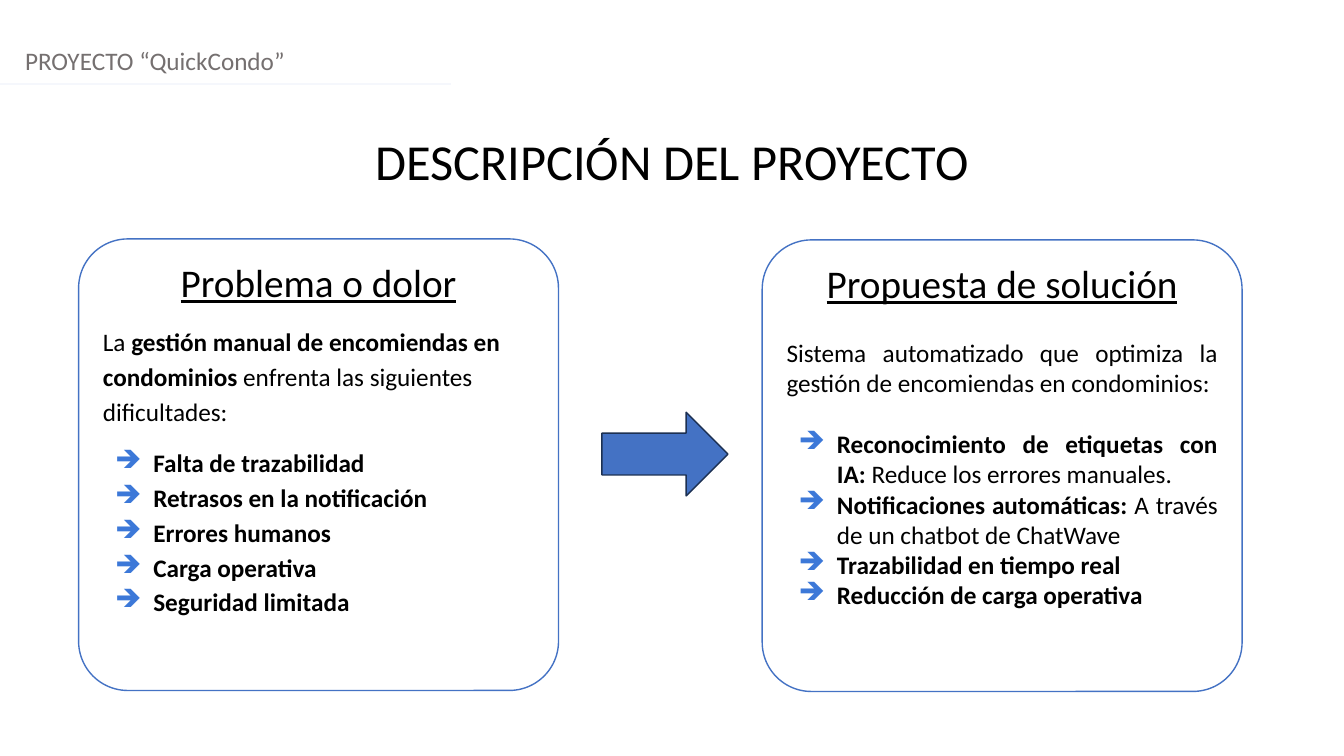
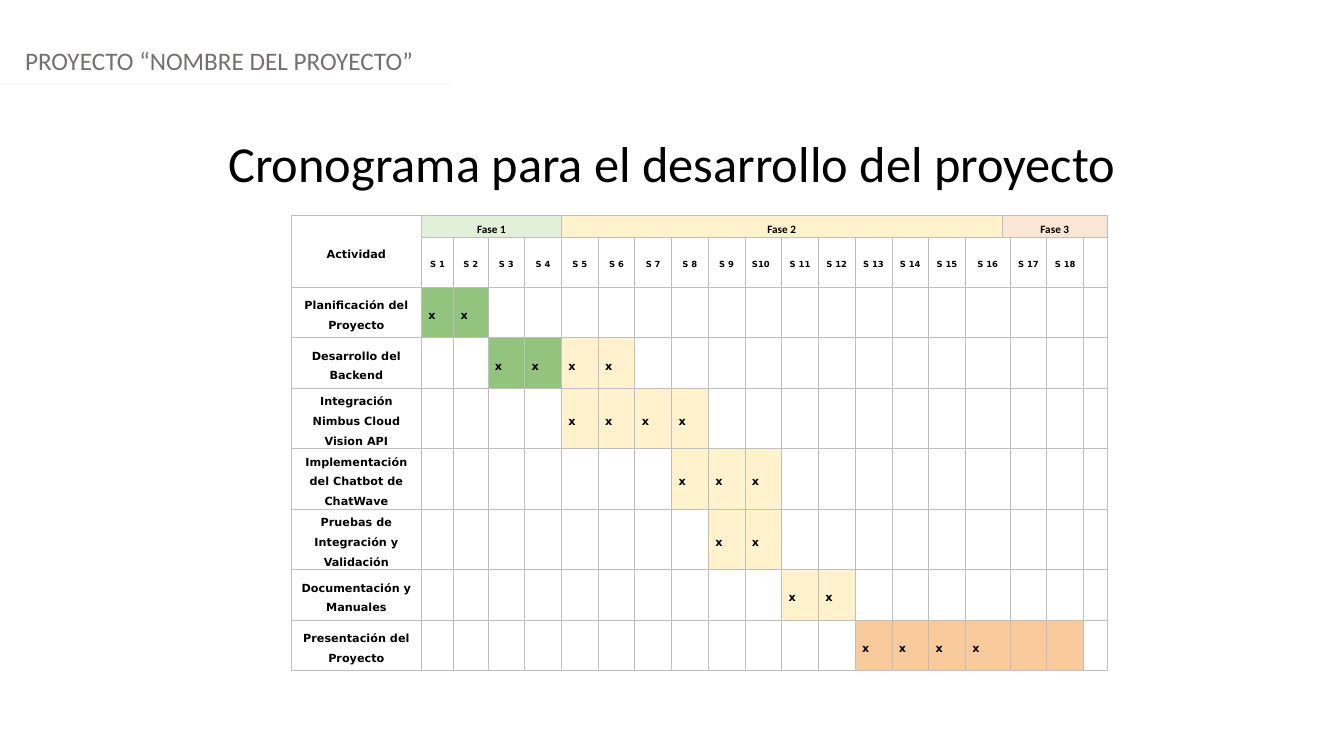
from dataclasses import dataclass

from lxml import etree
from pptx import Presentation
from pptx.dml.color import RGBColor
from pptx.enum.shapes import MSO_CONNECTOR, MSO_SHAPE
from pptx.enum.text import MSO_ANCHOR, MSO_AUTO_SIZE, PP_ALIGN
from pptx.oxml.ns import qn
from pptx.util import Inches, Pt

LEFT, CENTER, JUSTIFY = PP_ALIGN.LEFT, PP_ALIGN.CENTER, PP_ALIGN.JUSTIFY
TOP, MIDDLE = MSO_ANCHOR.TOP, MSO_ANCHOR.MIDDLE
SLIDE_W, SLIDE_H = 13.33, 7.5
TITLE_ONLY = 5


@dataclass(frozen=True)
class Theme:
    font: str = "Calibri"
    table_font: str = "DejaVu Sans"
    title: int = 36
    heading: int = 28
    body: int = 18
    cell: int = 8
    week: int = 6
    ink: str = "000000"
    paper: str = "FFFFFF"
    muted: str = "757070"
    rule: str = "F5F7FC"
    accent: str = "4472C4"
    accent_dark: str = "1C3052"
    bullet: str = "3C78D8"
    grid: str = "BFBFBF"
    green_pale: str = "E2EFD9"
    yellow: str = "FFF2CC"
    orange_pale: str = "FBE5D5"
    green: str = "93C47D"
    orange: str = "F9CB9C"


THEME = Theme()


def rgb(value):
    return RGBColor.from_string(value)


def inches(box):
    return [Inches(length) for length in box]


def style(run, size, color=THEME.ink, bold=False, font=THEME.font, underline=False):
    run.font.name, run.font.size = font, Pt(size)
    run.font.bold, run.font.underline = bold, underline
    run.font.color.rgb = rgb(color)


def add_bullet(paragraph):
    props = paragraph._p.get_or_add_pPr()
    props.set("marL", str(Inches(0.5)))
    props.set("indent", str(-Inches(0.38)))
    color = etree.SubElement(props, qn("a:buClr"))
    etree.SubElement(color, qn("a:srgbClr"), val=THEME.bullet)
    etree.SubElement(props, qn("a:buChar"), char="➔")


def add_outlined(slide, preset, box, fill, line):
    shape = slide.shapes.add_shape(preset, *inches(box))
    shape.shadow.inherit = False
    shape.fill.solid()
    shape.fill.fore_color.rgb = rgb(fill)
    shape.line.color.rgb = rgb(line)
    shape.line.width = Pt(1)
    return shape


def add_base_slide(prs, project, title, title_box):
    """Add a slide with the project header, its rule and a centred title."""
    slide = prs.slides.add_slide(prs.slide_layouts[TITLE_ONLY])
    heading = slide.shapes.title
    heading.left, heading.top, heading.width, heading.height = inches(title_box)
    header = slide.shapes.add_textbox(*inches((0.15, 0.4, SLIDE_W - 0.15, 0.4)))
    for part, text, size, color, align in (
        (heading, title, THEME.title, THEME.ink, CENTER),
        (header, project, THEME.body, THEME.muted, LEFT),
    ):
        frame = part.text_frame
        frame.text = text
        frame.word_wrap = True
        frame.auto_size = MSO_AUTO_SIZE.NONE
        frame.vertical_anchor = TOP
        frame.paragraphs[0].alignment = align
        style(frame.paragraphs[0].runs[0], size, color)

    rule = slide.shapes.add_connector(
        MSO_CONNECTOR.STRAIGHT, *inches((0, 0.83, 4.47, 0.83)))
    rule.line.color.rgb = rgb(THEME.rule)
    rule.line.width = Pt(1.25)
    etree.SubElement(rule._element.spPr, qn("a:effectLst"))
    return slide


def add_panel(slide, box, heading, intro, points, align, spacing, gap):
    """Draw a rounded panel; intro and points are lists of (text, bold) runs."""
    panel = add_outlined(slide, MSO_SHAPE.ROUNDED_RECTANGLE, box,
                         THEME.paper, THEME.accent)
    panel.adjustments[0] = 0.109
    frame = panel.text_frame
    frame.word_wrap = True
    frame.vertical_anchor = TOP
    frame.text = heading
    frame.paragraphs[0].alignment = CENTER
    style(frame.paragraphs[0].runs[0], THEME.heading, underline=True)

    for index, pieces in enumerate([intro, *points]):
        paragraph = frame.add_paragraph()
        if index > 0:
            add_bullet(paragraph)
        paragraph.alignment = align
        paragraph.line_spacing = spacing
        paragraph.space_before = Pt(gap if index < 2 else 0)
        for text, bold in pieces:
            run = paragraph.add_run()
            run.text = text
            style(run, THEME.body, bold=bold)


def build_description(prs):
    slide = add_base_slide(prs, "PROYECTO “QuickCondo”", "DESCRIPCIÓN DEL PROYECTO",
                           (0, 1.24, SLIDE_W, 0.71))
    problems = ("Falta de trazabilidad", "Retrasos en la notificación",
                "Errores humanos", "Carga operativa", "Seguridad limitada")
    add_panel(
        slide, (0.78, 2.37, 4.76, 4.48), "Problema o dolor",
        [("La ", False), ("gestión manual de encomiendas en condominios", True),
         (" enfrenta las siguientes dificultades:", False)],
        [[(problem, True)] for problem in problems],
        align=LEFT, spacing=1.15, gap=12)
    add_panel(
        slide, (7.56, 2.38, 4.76, 4.48), "Propuesta de solución",
        [("Sistema automatizado que optimiza la gestión de encomiendas "
          "en condominios:", False)],
        [[("Reconocimiento de etiquetas con IA:", True),
          (" Reduce los errores manuales.", False)],
         [("Notificaciones automáticas:", True),
          (" A través de un chatbot de ChatWave", False)],
         [("Trazabilidad en tiempo real", True)],
         [("Reducción de carga operativa", True)]],
        align=JUSTIFY, spacing=1.0, gap=22)
    add_outlined(slide, MSO_SHAPE.RIGHT_ARROW, (5.97, 4.09, 1.25, 0.83),
                 THEME.accent, THEME.accent_dark)


# Phase: name, first column, last column, fill
PHASES = (
    ("Fase 1", 1, 4, THEME.green_pale),
    ("Fase 2", 5, 16, THEME.yellow),
    ("Fase 3", 17, 20, THEME.orange_pale),
)
# Activity: name, then spans of (first week, last week, fill)
ACTIVITIES = (
    ("Planificación del Proyecto", [(1, 2, THEME.green)]),
    ("Desarrollo del Backend", [(3, 4, THEME.green), (5, 6, THEME.yellow)]),
    ("Integración Nimbus Cloud Vision API", [(5, 8, THEME.yellow)]),
    ("Implementación del Chatbot de ChatWave", [(8, 10, THEME.yellow)]),
    ("Pruebas de Integración y Validación", [(9, 10, THEME.yellow)]),
    ("Documentación y Manuales", [(11, 12, THEME.yellow)]),
    ("Presentación del Proyecto", [(13, 18, THEME.orange)]),
)
WEEKS = 18
SPLIT_WEEK = 16  # this week covers two columns, as phase 3 starts inside it
LAST_MARKED_WEEK = 16
WEEK_W = 4.01 / 11
COLUMN_WIDTHS = [1.29, 0.32, 0.34, *[WEEK_W] * 14, 0.08, WEEK_W, WEEK_W, 0.24]
ROW_HEIGHTS = [0.21, 0.5, 0.5, 0.5, 0.6, 0.6, 0.6, 0.5, 0.5]


def week_column(week):
    return week if week <= SPLIT_WEEK else week + 1


def format_grid_cell(cell):
    props = cell._tc.get_or_add_tcPr()
    for side in ("a:lnL", "a:lnR", "a:lnT", "a:lnB"):
        border = etree.SubElement(props, qn(side), w=str(Pt(0.5)))
        fill = etree.SubElement(border, qn("a:solidFill"))
        etree.SubElement(fill, qn("a:srgbClr"), val=THEME.grid)
    cell.fill.background()
    cell.margin_left = cell.margin_right = Inches(0.07)
    cell.margin_top = cell.margin_bottom = 0
    cell.vertical_anchor = MIDDLE


def shade(cell, color):
    cell.fill.solid()
    cell.fill.fore_color.rgb = rgb(color)


def write_cell(cell, text, size=THEME.cell, align=CENTER, font=THEME.table_font):
    cell.text = text
    paragraph = cell.text_frame.paragraphs[0]
    paragraph.alignment = align
    paragraph.line_spacing = 1.5
    style(paragraph.runs[0], size, bold=True, font=font)


def add_schedule(slide, left, top):
    frame = slide.shapes.add_table(
        len(ROW_HEIGHTS), len(COLUMN_WIDTHS),
        *inches((left, top, sum(COLUMN_WIDTHS), sum(ROW_HEIGHTS))))
    table = frame.table
    table.first_row = table.horz_banding = False
    for column, width in zip(table.columns, COLUMN_WIDTHS):
        column.width = Inches(width)
    for row, height in zip(table.rows, ROW_HEIGHTS):
        row.height = Inches(height)
    for cell in table.iter_cells():
        format_grid_cell(cell)

    table.cell(0, 0).merge(table.cell(1, 0))
    write_cell(table.cell(0, 0), "Actividad")
    for name, first, last, color in PHASES:
        phase = table.cell(0, first)
        phase.merge(table.cell(0, last))
        phase.vertical_anchor = TOP
        shade(phase, color)
        write_cell(phase, name, font=THEME.font)
    for row in range(1, len(ROW_HEIGHTS)):
        table.cell(row, SPLIT_WEEK).merge(table.cell(row, SPLIT_WEEK + 1))
    for week in range(1, WEEKS + 1):
        label = "S10" if week == 10 else f"S {week}"
        write_cell(table.cell(1, week_column(week)), label, THEME.week,
                   LEFT if week == 10 else CENTER)

    for row, (activity, spans) in enumerate(ACTIVITIES, start=2):
        write_cell(table.cell(row, 0), activity)
        for first, last, color in spans:
            for week in range(first, last + 1):
                cell = table.cell(row, week_column(week))
                shade(cell, color)
                if week <= LAST_MARKED_WEEK:
                    write_cell(cell, "x", align=JUSTIFY)


def build_schedule(prs):
    slide = add_base_slide(prs, "PROYECTO “NOMBRE DEL PROYECTO”",
                           "Cronograma para el desarrollo del proyecto",
                           (0, 1.26, SLIDE_W, 0.88))
    add_schedule(slide, 2.89, 2.14)


def main():
    prs = Presentation()
    prs.slide_width, prs.slide_height = inches((SLIDE_W, SLIDE_H))
    build_description(prs)
    build_schedule(prs)
    prs.save("out.pptx")


if __name__ == "__main__":
    main()
